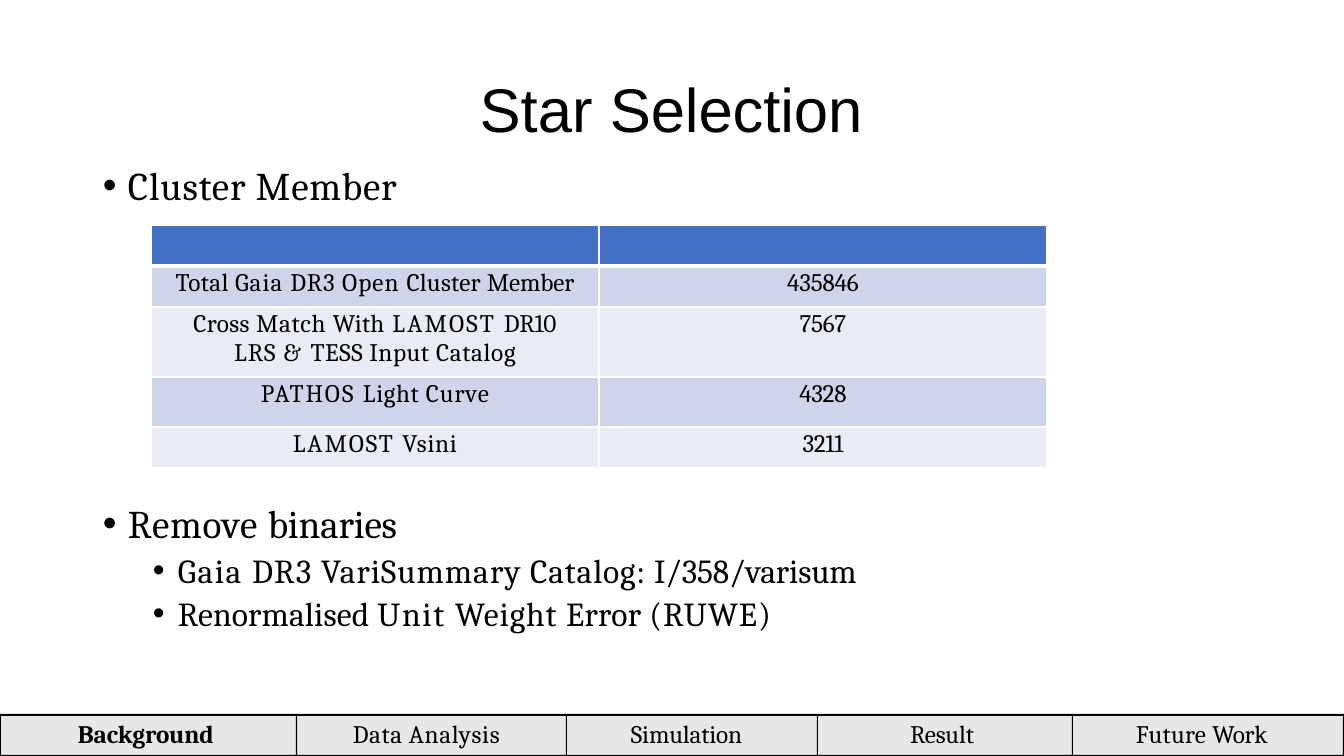
from dataclasses import dataclass
from typing import Any, NamedTuple

from lxml.etree import SubElement
from pptx import Presentation
from pptx.dml.color import RGBColor
from pptx.enum.text import MSO_ANCHOR as Anchor, MSO_AUTO_SIZE as AutoSize, PP_ALIGN as Align
from pptx.oxml.ns import qn
from pptx.util import Pt

PAGE_WIDTH, PAGE_HEIGHT = 1344, 756
EMU_PER_PX = 12192000 / PAGE_WIDTH
BAR_TOP = 715

BLACK = RGBColor(0x00, 0x00, 0x00)
WHITE = RGBColor(0xFF, 0xFF, 0xFF)
TAB_GREY = RGBColor(0xE7, 0xE7, 0xE7)
HEADER_BLUE = RGBColor(0x44, 0x71, 0xC4)
BAND_DARK = RGBColor(0xCF, 0xD4, 0xEA)
BAND_LIGHT = RGBColor(0xE9, 0xEB, 0xF5)

Corners = list[tuple[int, int]]


class Span(NamedTuple):
    text: str
    spacing: float = 0


@dataclass
class Para:
    spans: list[Span]
    size: int = 18
    before: float = 0
    bullet_left: int = 0
    align: Align = Align.LEFT
    line: float | None = None
    bold: bool = False
    font: str = "Cambria"


@dataclass
class TextBox:
    box: tuple[int, int, int, int]
    top_inset: int
    paras: list[Para]


@dataclass
class Tab:
    left: int
    text_left: int
    text_width: int
    spans: list[Span]
    bold: bool = False


@dataclass
class Row:
    height: int
    label: list[list[Span]]
    value: Span


TITLE = Para([Span("Star "), Span("Selection", -0.1)], 44, 1.1, align=Align.CENTER, font="Arial")

BULLET_BOXES = [
    TextBox((101, 160, 310, 49), 1, [
        Para([Span("Cluster Member", 0.6)], 28, 0.9, 27),
    ]),
    TextBox((101, 494, 806, 141), 5, [
        Para([Span("Remove ", 0.6), Span("binaries", -0.1)], 28, 3.8, 27),
        Para([Span("Gaia ", 1.1), Span("DR3 ", 0.8), Span("VariSummary ", 0.7),
              Span("Catalog: ", 0.6), Span("I/358/varisum", -0.1)], 24, 2.5, 77),
        Para([Span("Renormalised ", 0.1), Span("Unit ", 1.2), Span("Weight ", 0.7),
              Span("Error ", 0.25), Span("(RUWE)", 0.7)], 24, 2, 77),
    ]),
]

HEADER_HEIGHT = 41
ROWS = [
    Row(41, [[Span("Total ", 0.3), Span("Gaia ", 0.8), Span("DR3 ", 0.6), Span("Open ", 0.8),
              Span("Cluster ", 0.2), Span("Member", -0.1)]], Span("435846", -0.1)),
    Row(70, [[Span("Cross ", 0.3), Span("Match ", 0.5), Span("With", 0.2),
              Span(" LAMOST ", 1.6), Span("DR10", -0.2)],
             [Span("LRS ", 0.8), Span("& ", 1.6), Span("TESS Input ", 0.4),
              Span("Catalog", 0.5)]], Span("7567", -0.2)),
    Row(50, [[Span("PATHOS ", 1.4), Span("Light ", 0.5), Span("Curve", 0.7)]],
        Span("4328", -0.2)),
    Row(41, [[Span("LAMOST ", 1.4), Span("Vsini", 0.5)]], Span("3211", -0.2)),
]

TABS = [
    Tab(0, 78, 142, [Span("Background", -0.1)], bold=True),
    Tab(296, 353, 160, [Span("Data ", 0.4), Span("Analysis", 0.5)]),
    Tab(566, 631, 124, [Span("Simulation", -0.1)]),
    Tab(817, 910, 73, [Span("Result", -0.1)]),
    Tab(1072, 1136, 146, [Span("Future ", 0.2), Span("Work", -0.2)]),
]


def px(length: int) -> int:
    return round(length * EMU_PER_PX)


def apply_format(target: Any, values: dict[str, Any]) -> None:
    for name, value in values.items():
        setattr(target, name, value)


def margins(left: int = 0, top: int = 0, right: int = 0, bottom: int = 0) -> dict[str, int]:
    return {"margin_left": px(left), "margin_top": px(top),
            "margin_right": px(right), "margin_bottom": px(bottom)}


def add_bullet(paragraph: Any, left: int) -> None:
    properties = paragraph._p.get_or_add_pPr()
    properties.set("marL", str(px(left)))
    properties.set("indent", str(-px(25)))
    SubElement(properties, qn("a:buFont"), typeface="Arial")
    SubElement(properties, qn("a:buChar"), char="•")


def write_paras(frame: Any, paras: list[Para]) -> None:
    for index, para in enumerate(paras):
        paragraph = frame.add_paragraph() if index else frame.paragraphs[0]
        apply_format(paragraph, {"alignment": para.align, "space_before": Pt(para.before)})
        if para.line:
            paragraph.line_spacing = Pt(para.line)
        if para.bullet_left:
            add_bullet(paragraph, para.bullet_left)
        for span in para.spans:
            run = paragraph.add_run()
            run.text = span.text
            apply_format(run.font, {"size": Pt(para.size), "name": para.font, "bold": para.bold})
            run.font.color.rgb = BLACK
            run.font._element.set("spc", str(round(span.spacing * 100)))


def format_title(title: Any) -> None:
    apply_format(title, {"left": px(101), "top": px(27), "width": px(1172), "height": px(120)})
    apply_format(title.text_frame, margins(top=44, right=32) | {
        "vertical_anchor": Anchor.TOP, "auto_size": AutoSize.NONE, "word_wrap": True})
    write_paras(title.text_frame, [TITLE])


def add_text_box(page: Any, item: TextBox) -> None:
    frame = page.shapes.add_textbox(*map(px, item.box)).text_frame
    apply_format(frame, margins(top=item.top_inset) | {"word_wrap": True})
    write_paras(frame, item.paras)


def format_cell(cell: Any, fill: RGBColor, top_line: int, bottom_line: int) -> None:
    """Fill the cell and draw its white borders, with widths in points."""
    apply_format(cell, margins(top=3))
    properties = cell._tc.get_or_add_tcPr()
    for side, width in {"L": 1, "R": 1, "T": top_line, "B": bottom_line}.items():
        border = SubElement(properties, qn(f"a:ln{side}"), w=str(Pt(width)))
        colour = SubElement(SubElement(border, qn("a:solidFill")), qn("a:srgbClr"))
        colour.set("val", str(WHITE))
    cell.fill.solid()
    cell.fill.fore_color.rgb = fill


def add_member_table(page: Any) -> None:
    heights = [HEADER_HEIGHT] + [row.height for row in ROWS]
    table = page.shapes.add_table(len(heights), 2, px(151), px(225), px(896),
                                  px(sum(heights))).table
    for index, height in enumerate(heights):
        table.rows[index].height = px(height)
        fill = HEADER_BLUE if index == 0 else BAND_DARK if index % 2 else BAND_LIGHT
        for cell in table.rows[index].cells:
            format_cell(cell, fill, 3 if index == 1 else 1, 3 if index == 0 else 1)
    for index, row in enumerate(ROWS, start=1):
        for column, lines in enumerate((row.label, [[row.value]])):
            paras = [Para(spans, before=0.1 if number else 2.3, align=Align.CENTER)
                     for number, spans in enumerate(lines)]
            write_paras(table.cell(index, column).text_frame, paras)


def corners(left: int, top: int, right: int, bottom: int) -> Corners:
    return [(left, top), (right, top), (right, bottom), (left, bottom)]


def add_outline(page: Any, contours: list[Corners], fill: RGBColor) -> None:
    """Draw closed contours as one filled shape; inner contours become holes."""
    first, *holes = contours
    builder = page.shapes.build_freeform(*first[0], scale=EMU_PER_PX)
    builder.add_line_segments(first[1:])
    for hole in holes:
        builder.move_to(*hole[0])
        builder.add_line_segments(hole[1:])
    shape = builder.convert_to_shape()
    shape.shadow.inherit = False
    shape.fill.solid()
    shape.fill.fore_color.rgb = fill
    shape.line.fill.background()


def add_tab_bar(page: Any) -> None:
    bar = corners(0, BAR_TOP - 1, PAGE_WIDTH, PAGE_HEIGHT)
    rights = [tab.left for tab in TABS[1:]] + [PAGE_WIDTH]
    openings = [corners(tab.left + 1, BAR_TOP + 1, right - (right == PAGE_WIDTH), PAGE_HEIGHT - 1)
                [::-1] for tab, right in zip(TABS, rights)]
    add_outline(page, [bar], TAB_GREY)
    add_outline(page, [bar] + openings, BLACK)
    for tab in TABS:
        add_text_box(page, TextBox((tab.text_left, 719, tab.text_width, 33), 0,
                                   [Para(tab.spans, line=21.2, bold=tab.bold)]))


def main() -> None:
    deck = Presentation()
    apply_format(deck, {"slide_width": px(PAGE_WIDTH), "slide_height": px(PAGE_HEIGHT)})
    page = deck.slides.add_slide(deck.slide_layouts.get_by_name("Title Only"))
    format_title(page.shapes.title)
    for bullets in BULLET_BOXES:
        add_text_box(page, bullets)
    add_member_table(page)
    add_tab_bar(page)
    deck.save("out.pptx")


if __name__ == "__main__":
    main()
